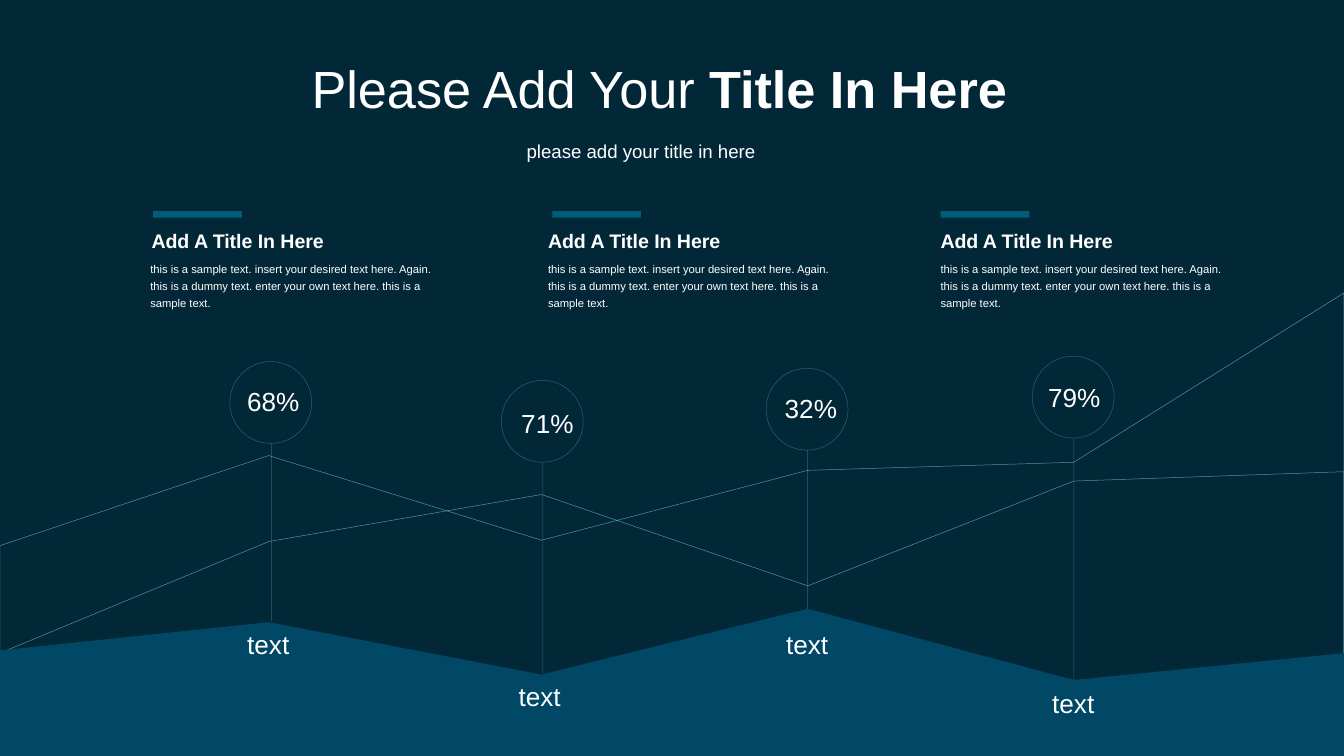
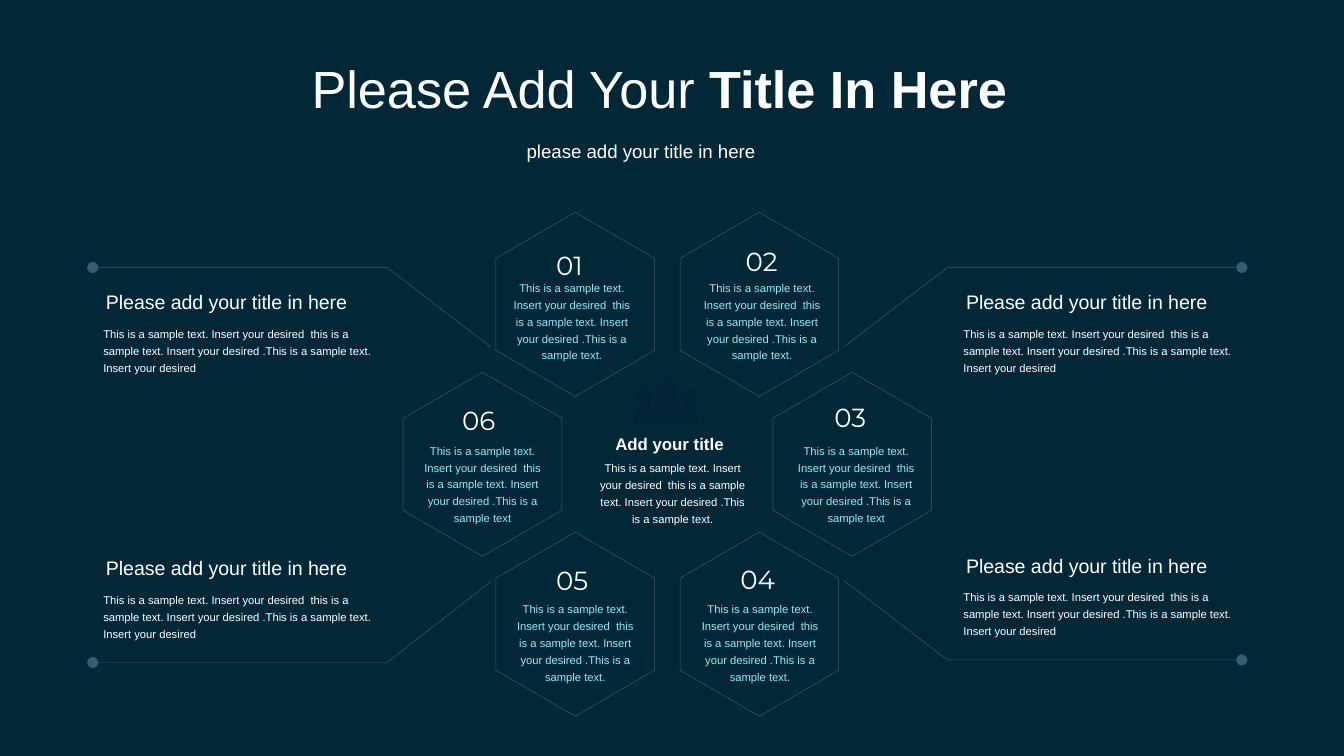
import math

from lxml import etree
from pptx import Presentation
from pptx.dml.color import RGBColor
from pptx.enum.shapes import MSO_CONNECTOR, MSO_SHAPE
from pptx.enum.text import MSO_AUTO_SIZE, PP_ALIGN
from pptx.oxml.ns import qn
from pptx.util import Inches, Pt

OVAL, RECTANGLE = MSO_SHAPE.OVAL, MSO_SHAPE.RECTANGLE
STRAIGHT = MSO_CONNECTOR.STRAIGHT
LEFT, CENTER = PP_ALIGN.LEFT, PP_ALIGN.CENTER
FIT_SHAPE = MSO_AUTO_SIZE.SHAPE_TO_FIT_TEXT

NAVY, OCEAN, TEAL, ICON = "022838", "014866", "025D79", "012436"
WHITE, AQUA, SKY = "FFFFFF", "91ECFB", "A4E2FE"
BODY_FONT, NUMBER_FONT = "Arial", "Montserrat"

COLUMN_TITLE = "Add A Title In Here"
COLUMN_TEXT = (
    "this is a sample text. insert your desired text here. Again. "
    "this is a dummy text. enter your own text here. this is a sample text."
)
CALLOUT_TITLE = "Please add your title in here"
SAMPLE = "This is a sample text. Insert your desired  this is a sample text. Insert your desired .This is a sample text"
CALLOUT_TEXT = SAMPLE + ". Insert your desired"


def rgb(value):
    """Turn a hex string into a colour."""
    return RGBColor.from_string(value)


def style_line(shape, color=SKY, opacity=30):
    """Give a shape a translucent hairline."""
    shape.line.width = Pt(0.25)
    shape.line.fill.solid()
    shape.line.fill.fore_color.rgb = rgb(color)
    tint = shape.element.xpath(".//a:ln//a:srgbClr")[0]
    etree.SubElement(tint, qn("a:alpha"), val=str(opacity * 1000))


def fill_plain(shape, color):
    """Fill a shape without outline or shadow."""
    shape.shadow.inherit = False
    shape.fill.solid()
    shape.fill.fore_color.rgb = rgb(color)
    shape.line.fill.background()


def outline_only(shape, color=SKY, opacity=30):
    """Leave only the hairline of a shape."""
    shape.shadow.inherit = False
    shape.fill.background()
    style_line(shape, color, opacity)


def add_outline(slide, *contours, closed=True):
    """Draw one freeform from contours given in inches."""
    scaled = [[(Inches(x), Inches(y)) for x, y in contour] for contour in contours]
    builder = slide.shapes.build_freeform(*scaled[0][0], scale=1.0)
    builder.add_line_segments(scaled[0][1:], close=closed)
    for contour in scaled[1:]:
        builder.move_to(*contour[0])
        builder.add_line_segments(contour[1:], close=closed)
    return builder.convert_to_shape()


def add_shape(slide, kind, left, top, width, height):
    """Add a preset shape placed in inches."""
    return slide.shapes.add_shape(kind, Inches(left), Inches(top), Inches(width), Inches(height))


def add_text(slide, runs, box, size, color=WHITE, font=BODY_FONT, bold=False,
             spacing=None, align=LEFT, wrap=False):
    """Add a one-paragraph text box; runs are (text, bold) pairs or one string."""
    text_box = slide.shapes.add_textbox(*(Inches(length) for length in box))
    frame = text_box.text_frame
    frame.word_wrap = wrap
    frame.auto_size = FIT_SHAPE
    paragraph = frame.paragraphs[0]
    paragraph.alignment = align
    if spacing:
        paragraph.line_spacing = Pt(spacing)
    paragraph.font.name = font
    paragraph.font.size = Pt(size)
    paragraph.font.color.rgb = rgb(color)
    if isinstance(runs, str):
        paragraph.font.bold = bold
        paragraph.add_run().text = runs
        return
    for text, run_bold in runs:
        run = paragraph.add_run()
        run.text = text
        run.font.bold = run_bold


def add_body(slide, text, box, color=WHITE, align=LEFT):
    """Add small wrapped body text."""
    add_text(slide, text, box, 6, color, spacing=9, align=align, wrap=True)


def add_header(slide):
    """Add the title and subtitle that every slide carries."""
    title = [("Please Add Your ", False), ("Title In Here", True)]
    add_text(slide, title, (2.22, 0.37, 5.44, 0.57), 28)
    add_text(slide, "please add your title in here", (3.82, 0.99, 1.91, 0.27), 10)


def add_marker(slide, percent, x, top, foot, percent_at, label_at):
    """Add a percentage circle with its stem and label."""
    diameter = 0.61
    outline_only(add_shape(slide, OVAL, x - 0.31, top, diameter, diameter))
    add_text(slide, percent, (*percent_at, 0.59, 0.34), 14)
    stem = slide.shapes.add_connector(
        STRAIGHT, Inches(x), Inches(top + diameter), Inches(x), Inches(foot))
    style_line(stem)
    etree.SubElement(stem.element.spPr, qn("a:effectLst"))
    add_text(slide, "text", (*label_at, 0.52, 0.27), 14, spacing=12)


def add_column(slide, title_left, text_left, bar_left):
    """Add a text column under a short accent bar."""
    add_text(slide, COLUMN_TITLE, (title_left, 1.66, 1.87, 0.27), 10.5,
             bold=True, spacing=12, wrap=True)
    add_body(slide, COLUMN_TEXT, (text_left, 1.88, 2.43, 0.47))
    fill_plain(add_shape(slide, RECTANGLE, bar_left, 1.57, 0.66, 0.05), TEAL)


def add_person(slide, left, top, width, height):
    """Add a simple person silhouette as one outline."""
    center, radius = left + width / 2, 0.23 * height
    angles = [math.tau * step / 24 for step in range(24)]
    head = [(center + radius * math.cos(a), top + radius + radius * math.sin(a)) for a in angles]
    profile = [(0.3, 0.47), (0.7, 0.47), (0.85, 0.6), (1, 0.85), (0.93, 1),
               (0.07, 1), (0, 0.85), (0.15, 0.6)]
    body = [(left + u * width, top + v * height) for u, v in profile]
    fill_plain(add_outline(slide, head, body), ICON)


def add_hexagon(slide, left, top, number, number_at, text, text_at, text_width):
    """Add a numbered hexagon with its text."""
    width, height = 1.18, 1.37
    middle, right = left + width / 2, left + width
    upper, lower = top + height / 4, top + height * 3 / 4
    outline_only(add_outline(slide, [
        (left, lower), (left, upper), (middle, top),
        (right, upper), (right, lower), (middle, top + height)]))
    add_text(slide, number, (*number_at, 0.46, 0.34), 14, font=NUMBER_FONT)
    add_body(slide, text, (*text_at, text_width, 0.73), AQUA, CENTER)


def add_callout(slide, xs, ys, text_left, title_top):
    """Add a bent leader ending in a dot, with title and text."""
    (start, bend, end), (start_y, end_y) = xs, ys
    leader = add_outline(slide, [(start, start_y), (bend, end_y), (end, end_y)], closed=False)
    outline_only(leader)
    etree.SubElement(leader.element.xpath(".//a:ln")[0], qn("a:tailEnd"), type="oval")
    add_text(slide, CALLOUT_TITLE, (text_left + 0.02, title_top, 2.03, 0.28), 10.5)
    add_body(slide, CALLOUT_TEXT, (text_left, title_top + 0.25, 2.25, 0.48))


def build_trend_slide(slide):
    """Build the slide with the trend lines and percentages."""
    rising = [(7.99, 3.58), (6.01, 4.36), (4.03, 3.68), (2, 4.03), (0, 4.86),
              (0, 6.12), (10, 6.12), (10, 3.51)]
    steep = [(10, 2.18), (10, 5.73), (0, 5.73), (0, 4.06), (2, 3.39),
             (4.03, 4.02), (6.01, 3.5), (7.99, 3.44)]
    wave = [(2, 4.63), (4.03, 5.02), (6.01, 4.53), (7.99, 5.06), (10, 4.86),
            (10, 5.63), (0, 5.63), (0, 4.84)]
    for trend in (rising, steep):
        outline_only(add_outline(slide, trend), AQUA, 56)
    fill_plain(add_outline(slide, wave), OCEAN)
    for marker in (
        ("68%", 2.02, 2.69, 4.62, (1.74, 2.82), (1.74, 4.69)),
        ("71%", 4.04, 2.83, 5.01, (3.78, 2.98), (3.76, 5.08)),
        ("32%", 6.01, 2.74, 4.53, (5.74, 2.87), (5.75, 4.69)),
        ("79%", 7.99, 2.65, 5.06, (7.7, 2.79), (7.73, 5.13)),
    ):
        add_marker(slide, *marker)
    for lefts in ((1.03, 1.02, 1.14), (3.98, 3.98, 4.11), (6.9, 6.9, 7)):
        add_column(slide, *lefts)
    add_header(slide)


def build_hexagon_slide(slide):
    """Build the slide with the ring of hexagons and callouts."""
    for person in ((4.84, 2.84, 0.24, 0.3), (4.72, 2.9, 0.15, 0.25), (5.05, 2.9, 0.15, 0.25)):
        add_person(slide, *person)
    sentence = SAMPLE + "."
    add_text(slide, "Add your title", (4.48, 3.18, 1.05, 0.25), 9, bold=True)
    add_body(slide, sentence, (4.35, 3.36, 1.31, 0.61), align=CENTER)

    top, middle, bottom = 1.58, 2.77, 3.96
    for hexagon in (
        (3.69, top, "01", (4.04, 1.81), sentence, (3.69, 2.02), 1.13),
        (5.06, top, "02", (5.45, 1.78), sentence, (5.12, 2.02), 1.1),
        (5.75, middle, "03", (6.11, 2.94), SAMPLE, (5.81, 3.23), 1.12),
        (5.06, bottom, "04", (5.41, 4.14), sentence, (5.09, 4.41), 1.13),
        (3.69, bottom, "05", (4.04, 4.15), sentence, (3.72, 4.41), 1.12),
        (3, middle, "06", (3.34, 2.96), SAMPLE, (3.03, 3.23), 1.12),
    ):
        add_hexagon(slide, *hexagon)

    right, left = (6.28, 7.05, 9.24), (3.65, 2.88, 0.69)
    for callout in (
        (right, (2.58, 1.99), 7.07, 2.11),
        (left, (2.58, 1.99), 0.67, 2.11),
        (right, (4.32, 4.91), 7.07, 4.07),
        (left, (4.33, 4.93), 0.67, 4.09),
    ):
        add_callout(slide, *callout)
    add_header(slide)


def main():
    """Build and save the presentation."""
    presentation = Presentation()
    presentation.slide_width = Inches(10)
    presentation.slide_height = Inches(10) * 9 // 16
    background = presentation.slide_master.background.fill
    background.solid()
    background.fore_color.rgb = rgb(NAVY)
    blank = presentation.slide_layouts[6]
    for build in (build_trend_slide, build_hexagon_slide):
        build(presentation.slides.add_slide(blank))
    presentation.save("out.pptx")


if __name__ == "__main__":
    main()
